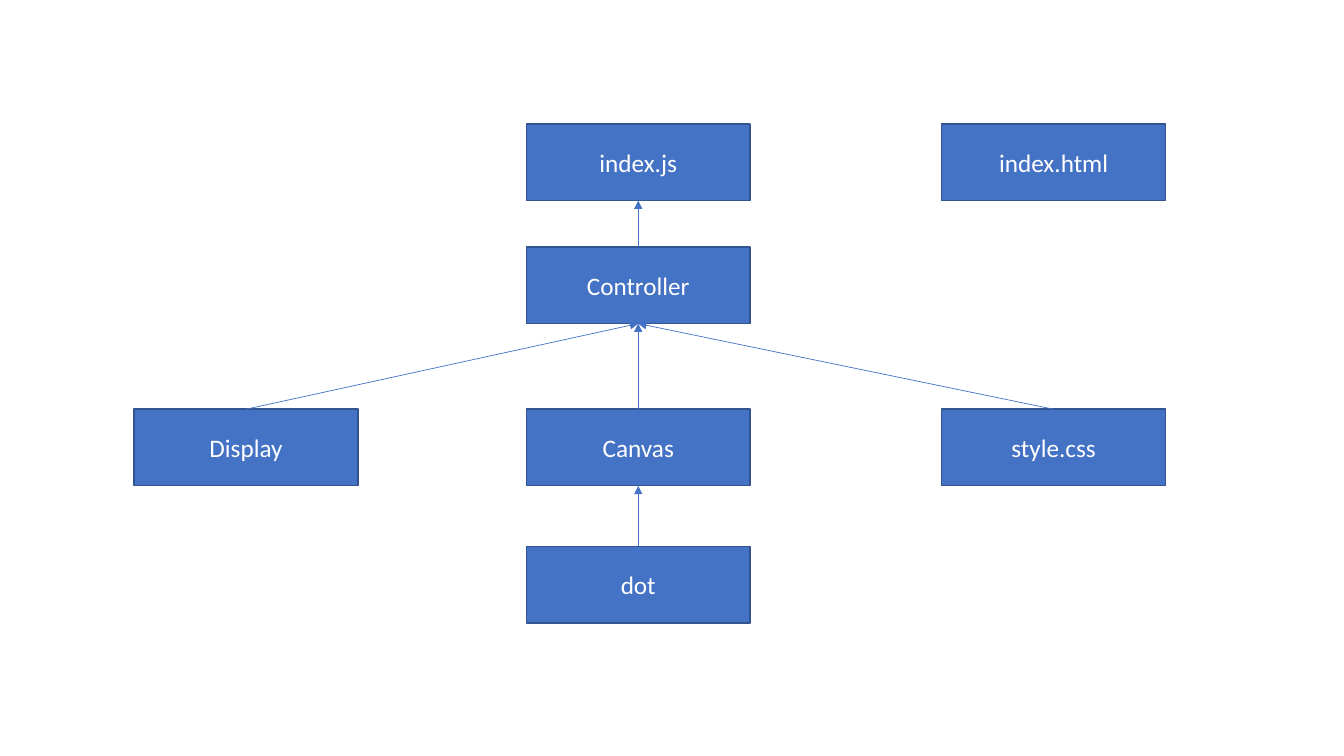
from pptx import Presentation
from pptx.dml.color import RGBColor
from pptx.enum.shapes import MSO_CONNECTOR, MSO_SHAPE
from pptx.enum.text import MSO_ANCHOR, PP_ALIGN
from pptx.oxml.ns import qn
from pptx.util import Inches, Pt
from lxml.etree import SubElement

COLORS = {"fill": "4472C4", "edge": "325491", "text": "FFFFFF"}
COLS = [1.33, 5.22, 9.34]
ROWS = [1.23, 2.45, 4.06, 5.42]
WIDTH, HEIGHT = 2.22, 0.76
TOP, BOTTOM = 0, 2

# label, column, row
FILES = [
    ("index.js", 1, 0),
    ("Controller", 1, 1),
    ("Canvas", 1, 2),
    ("dot", 1, 3),
    ("Display", 0, 2),
    ("index.html", 2, 0),
    ("style.css", 2, 2),
]
# child, parent
LINKS = [
    ("Display", "Controller"),
    ("Canvas", "Controller"),
    ("dot", "Canvas"),
    ("Controller", "index.js"),
    ("style.css", "Controller"),
]


def color(key):
    return RGBColor.from_string(COLORS[key])


prs = Presentation()
prs.slide_width, prs.slide_height = Inches(13.33), Inches(7.5)
slide = prs.slides.add_slide(prs.slide_layouts[6])

boxes = {}
for label, col, row in FILES:
    box = slide.shapes.add_shape(
        MSO_SHAPE.RECTANGLE, Inches(COLS[col]), Inches(ROWS[row]),
        Inches(WIDTH), Inches(HEIGHT))
    box.shadow.inherit = False
    box.fill.solid()
    box.fill.fore_color.rgb = color("fill")
    box.line.color.rgb = color("edge")
    box.line.width = Pt(1)
    frame = box.text_frame
    frame.text = label
    frame.vertical_anchor = MSO_ANCHOR.MIDDLE
    para = frame.paragraphs[0]
    para.alignment = PP_ALIGN.CENTER
    font = para.runs[0].font
    font.name, font.size = "Calibri", Pt(18)
    font.color.rgb = color("text")
    boxes[label] = box

for child, parent in LINKS:
    link = slide.shapes.add_connector(MSO_CONNECTOR.STRAIGHT, 0, 0, 0, 0)
    link.begin_connect(boxes[child], TOP)
    link.end_connect(boxes[parent], BOTTOM)
    link.line.color.rgb = color("fill")
    link.line.width = Pt(0.5)
    props = link._element.spPr
    SubElement(props.find(qn("a:ln")), qn("a:tailEnd"), type="triangle")
    SubElement(props, qn("a:effectLst"))

prs.save("out.pptx")
